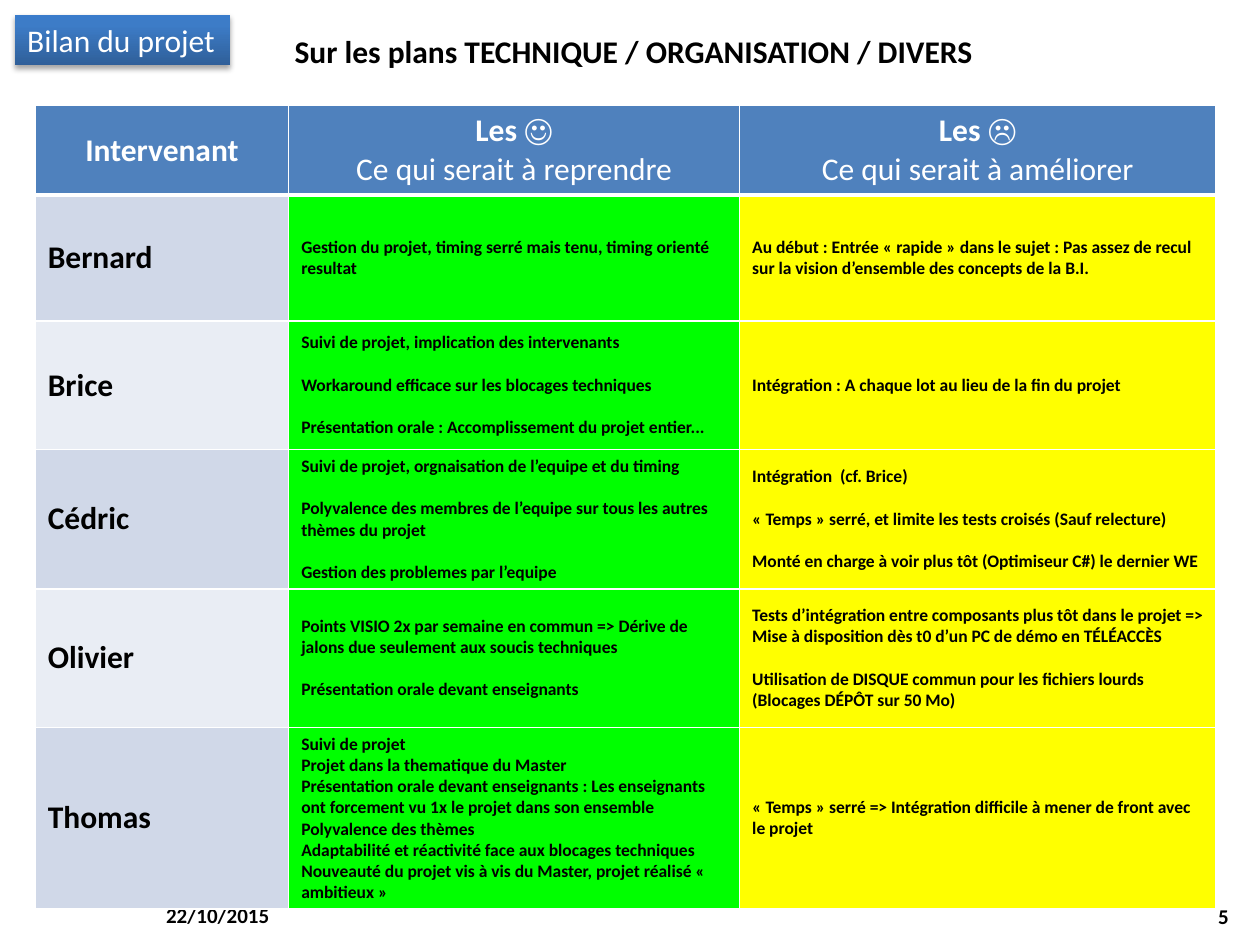
"""Build the project review slide with its table of strengths and improvements."""
import dataclasses

import lxml.etree
import pptx
import pptx.dml.color
import pptx.enum.shapes
import pptx.enum.text
import pptx.oxml
import pptx.oxml.ns
import pptx.util

Cm = pptx.util.Cm
Align = pptx.enum.text.PP_ALIGN
Anchor = pptx.enum.text.MSO_ANCHOR


@dataclasses.dataclass(frozen=True)
class Theme:
    font: str = "Calibri"
    large: float = 18
    footer: float = 12
    small: float = 10
    gap: float = 12.2
    black: str = "000000"
    white: str = "FFFFFF"
    header: str = "4F81BD"
    bands: tuple = ("D0D8E8", "E9EDF4")
    keep: str = "00FF00"
    improve: str = "FFFF00"
    badge: tuple = ((0, "2F5F99"), (80, "3D7CC7"), (100, "3A7CCB"))
    border: float = 1
    header_border: float = 3


THEME = Theme()

BADGE = ("Bilan du projet", (0.3, 0.3, 4.34, 1.02))
TITLE = ("Sur les plans TECHNIQUE / ORGANISATION / DIVERS", (5.69, 0.53, 16.61, 1.02))
DATE = ("22/10/2015", (3.1, 17.93, 5.92, 1.02))
NUMBER = ("5", (19.1, 17.96, 5.92, 1.02))

TABLE_ORIGIN = (0.71, 2.13)
COLUMN_WIDTHS = (5.11, 9.09, 9.6)
ROW_HEIGHTS = (1.8, 2.54, 2.59, 2.79, 2.79, 3.66)
HEADERS = (
    ["Intervenant"],
    ["Les ☺", "Ce qui serait à reprendre"],
    ["Les ☹", "Ce qui serait à améliorer"],
)
REVIEWS = (
    ("Bernard", THEME.gap,
     ["Gestion du projet, timing serré mais tenu, timing orienté resultat"],
     ["Au début : Entrée « rapide » dans le sujet : Pas assez de recul sur la vision "
      "d’ensemble des concepts de la B.I."]),
    ("Brice", THEME.gap,
     ["Suivi de projet, implication des intervenants",
      "Workaround efficace sur les blocages techniques",
      "Présentation orale : Accomplissement du projet entier..."],
     ["Intégration : A chaque lot au lieu de la fin du projet"]),
    ("Cédric", THEME.gap,
     ["Suivi de projet, orgnaisation de l’equipe et du timing",
      "Polyvalence des membres de l’equipe sur tous les autres thèmes du projet",
      "Gestion des problemes par l’equipe"],
     ["Intégration  (cf. Brice)",
      "« Temps » serré, et limite les tests croisés (Sauf relecture)",
      "Monté en charge à voir plus tôt (Optimiseur C#) le dernier WE"]),
    ("Olivier", THEME.gap,
     ["Points VISIO 2x par semaine en commun => Dérive de jalons due seulement aux "
      "soucis techniques",
      "Présentation orale devant enseignants"],
     ["Tests d’intégration entre composants plus tôt dans le projet => Mise à "
      "disposition dès t0 d’un PC de démo en TÉLÉACCÈS",
      "Utilisation de DISQUE commun pour les fichiers lourds (Blocages DÉPÔT sur 50 Mo)"]),
    ("Thomas", 0,
     ["Suivi de projet",
      "Projet dans la thematique du Master",
      "Présentation orale devant enseignants : Les enseignants ont forcement vu 1x le "
      "projet dans son ensemble",
      "Polyvalence des thèmes",
      "Adaptabilité et réactivité face aux blocages techniques",
      "Nouveauté du projet vis à vis du Master, projet réalisé « ambitieux »"],
     ["« Temps » serré => Intégration difficile à mener de front avec le projet"]),
)


def color(value):
    return pptx.dml.color.RGBColor.from_string(value)


def write(frame, lines, size, ink=THEME.black, bold=(True,), align=Align.LEFT, gap=0):
    for index, line in enumerate(lines):
        paragraph = frame.paragraphs[0] if index == 0 else frame.add_paragraph()
        paragraph.alignment = align
        if index and gap:
            paragraph.space_before = pptx.util.Pt(gap)
        run = paragraph.add_run()
        run.text = line
        run.font.name = THEME.font
        run.font.size = pptx.util.Pt(size)
        run.font.bold = bold[min(index, len(bold) - 1)]
        run.font.color.rgb = color(ink)


def add_text(slide, content, size, align=Align.LEFT, anchor=Anchor.TOP):
    text, box = content
    frame = slide.shapes.add_textbox(*map(Cm, box)).text_frame
    frame.word_wrap = True
    frame.vertical_anchor = anchor
    write(frame, [text], size, align=align)


def add_badge(slide):
    text, box = BADGE
    shape = slide.shapes.add_shape(pptx.enum.shapes.MSO_SHAPE.RECTANGLE, *map(Cm, box))
    shape.line.fill.background()
    shape.shadow.inherit = False
    stops = "".join(
        f'<a:gs pos="{position * 1000}"><a:srgbClr val="{value}"/></a:gs>'
        for position, value in THEME.badge
    )
    namespace = pptx.oxml.ns.nsdecls("a")
    properties = shape.element.spPr
    properties.insert(2, pptx.oxml.parse_xml(
        f'<a:gradFill {namespace} rotWithShape="1"><a:gsLst>{stops}</a:gsLst>'
        '<a:lin ang="16200000" scaled="0"/></a:gradFill>'))
    properties.find(pptx.oxml.ns.qn("a:effectLst")).append(pptx.oxml.parse_xml(
        f'<a:outerShdw {namespace} blurRad="40000" dist="23000" dir="5400000" '
        'rotWithShape="0"><a:srgbClr val="000000"><a:alpha val="35000"/></a:srgbClr>'
        '</a:outerShdw>'))
    shape.text_frame.word_wrap = False
    shape.text_frame.vertical_anchor = Anchor.TOP
    write(shape.text_frame, [text], THEME.large, THEME.white, bold=(False,))


def style_cell(cell, fill, top, bottom):
    cell.vertical_anchor = Anchor.MIDDLE
    properties = cell._tc.get_or_add_tcPr()
    sides = (("lnL", THEME.border), ("lnR", THEME.border), ("lnT", top), ("lnB", bottom))
    for side, width in sides:
        line = lxml.etree.SubElement(properties, pptx.oxml.ns.qn(f"a:{side}"),
                                     w=str(pptx.util.Pt(width)))
        solid = lxml.etree.SubElement(line, pptx.oxml.ns.qn("a:solidFill"))
        lxml.etree.SubElement(solid, pptx.oxml.ns.qn("a:srgbClr"), val=THEME.white)
    cell.fill.solid()
    cell.fill.fore_color.rgb = color(fill)


def add_review_table(slide):
    size = (sum(COLUMN_WIDTHS), sum(ROW_HEIGHTS))
    table = slide.shapes.add_table(
        len(ROW_HEIGHTS), len(COLUMN_WIDTHS), *map(Cm, TABLE_ORIGIN + size)).table
    for column, width in zip(table.columns, COLUMN_WIDTHS):
        column.width = Cm(width)
    for row, height in zip(table.rows, ROW_HEIGHTS):
        row.height = Cm(height)
    for index, lines in enumerate(HEADERS):
        cell = table.cell(0, index)
        style_cell(cell, THEME.header, THEME.border, THEME.header_border)
        write(cell.text_frame, lines, THEME.large, THEME.white, (True, False), Align.CENTER)
    for index, (name, gap, strengths, improvements) in enumerate(REVIEWS, 1):
        top = THEME.header_border if index == 1 else THEME.border
        band = THEME.bands[(index - 1) % len(THEME.bands)]
        contents = (([name], THEME.large, band),
                    (strengths, THEME.small, THEME.keep),
                    (improvements, THEME.small, THEME.improve))
        for position, (lines, text_size, fill) in enumerate(contents):
            cell = table.cell(index, position)
            style_cell(cell, fill, top, THEME.border)
            write(cell.text_frame, lines, text_size, gap=gap)


def main():
    presentation = pptx.Presentation()
    presentation.slide_width, presentation.slide_height = Cm(25.4), Cm(19.05)
    slide = presentation.slides.add_slide(presentation.slide_layouts[6])
    add_text(slide, DATE, THEME.footer, anchor=Anchor.MIDDLE)
    add_text(slide, NUMBER, THEME.footer, Align.RIGHT, Anchor.MIDDLE)
    add_badge(slide)
    add_review_table(slide)
    add_text(slide, TITLE, THEME.large)
    presentation.save("out.pptx")


if __name__ == "__main__":
    main()
